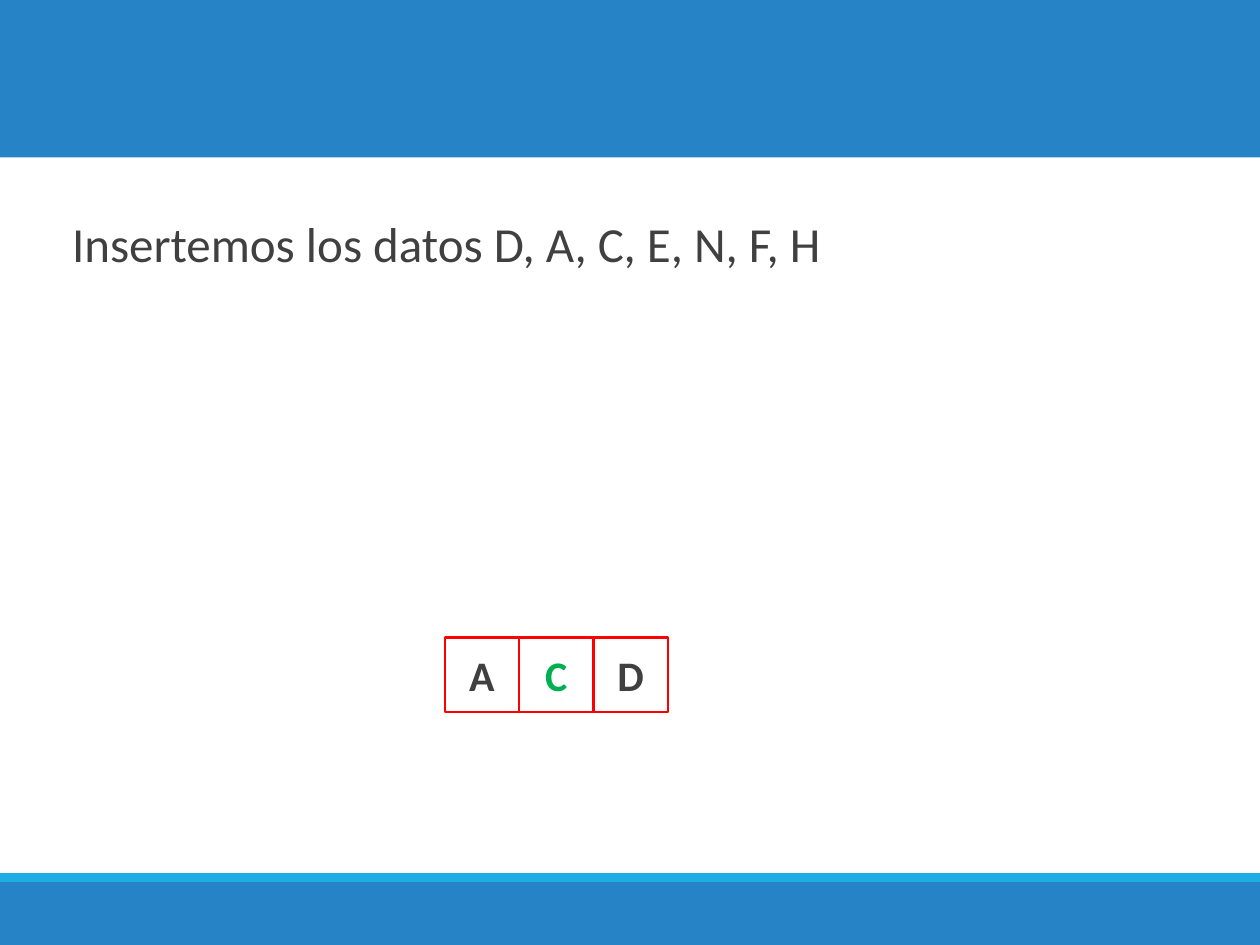
from pptx import Presentation
from pptx.dml.color import RGBColor
from pptx.enum.shapes import MSO_SHAPE
from pptx.enum.text import MSO_ANCHOR, PP_ALIGN
from pptx.util import Inches, Pt
from lxml.etree import SubElement

BLUE, CYAN, RED, GREEN = "2683C6", "1CADE4", "FF0000", "00B050"
WHITE, DARK = "FFFFFF", "404040"
WIDTH, HEIGHT = 10, 7.5

deck = Presentation()
deck.slide_width, deck.slide_height = Inches(WIDTH), Inches(HEIGHT)
page = deck.slides.add_slide(deck.slide_layouts[6])


def add_rectangle(left, top, width, height, fill, line=None):
    box = page.shapes.add_shape(MSO_SHAPE.RECTANGLE, Inches(left), Inches(top),
                                Inches(width), Inches(height))
    box.shadow.inherit = False
    box.fill.solid()
    box.fill.fore_color.rgb = RGBColor.from_string(fill)
    if line:
        box.line.color.rgb = RGBColor.from_string(line)
        box.line.width = Pt(1.25)
    else:
        box.line.fill.background()
    return box


def write(box, text, size, color=DARK, bold=False, align=PP_ALIGN.LEFT,
          anchor=MSO_ANCHOR.TOP):
    box.text_frame.word_wrap = True
    box.text_frame.vertical_anchor = anchor
    para = box.text_frame.paragraphs[0]
    para.alignment = align
    span = para.add_run()
    span.text = text
    span.font.name, span.font.size, span.font.bold = "Calibri", Pt(size), bold
    span.font.color.rgb = RGBColor.from_string(color)
    return para


# Header and footer bands
for top, height, color in [(0, HEIGHT / 6, BLUE), (7, 0.5, BLUE), (6.93, 0.07, CYAN)]:
    add_rectangle(0, top, WIDTH, height, color)

# Instruction, set off by a blank bullet
instruction = page.shapes.add_textbox(Inches(0.28), Inches(1.41), Inches(9.45), Inches(0.87))
para = write(instruction, "Insertemos los datos D, A, C, E, N, F, H", 28)
para.line_spacing, para.space_before, para.space_after = 1.5, Pt(12), Pt(2)
properties = para._p.get_or_add_pPr()
properties.set("marL", str(Inches(0.1)))
properties.set("indent", str(-Inches(0.1)))
namespace = "{http://schemas.openxmlformats.org/drawingml/2006/main}"
SubElement(properties, namespace + "buChar", char=" ")

# Tree node with three keys side by side
cell = 0.59
for column, (key, color) in enumerate([("A", DARK), ("C", GREEN), ("D", DARK)]):
    box = add_rectangle(3.53 + column * cell, 5.06, cell, cell, WHITE, RED)
    write(box, key, 24, color, bold=True, align=PP_ALIGN.CENTER, anchor=MSO_ANCHOR.MIDDLE)

deck.save("out.pptx")
